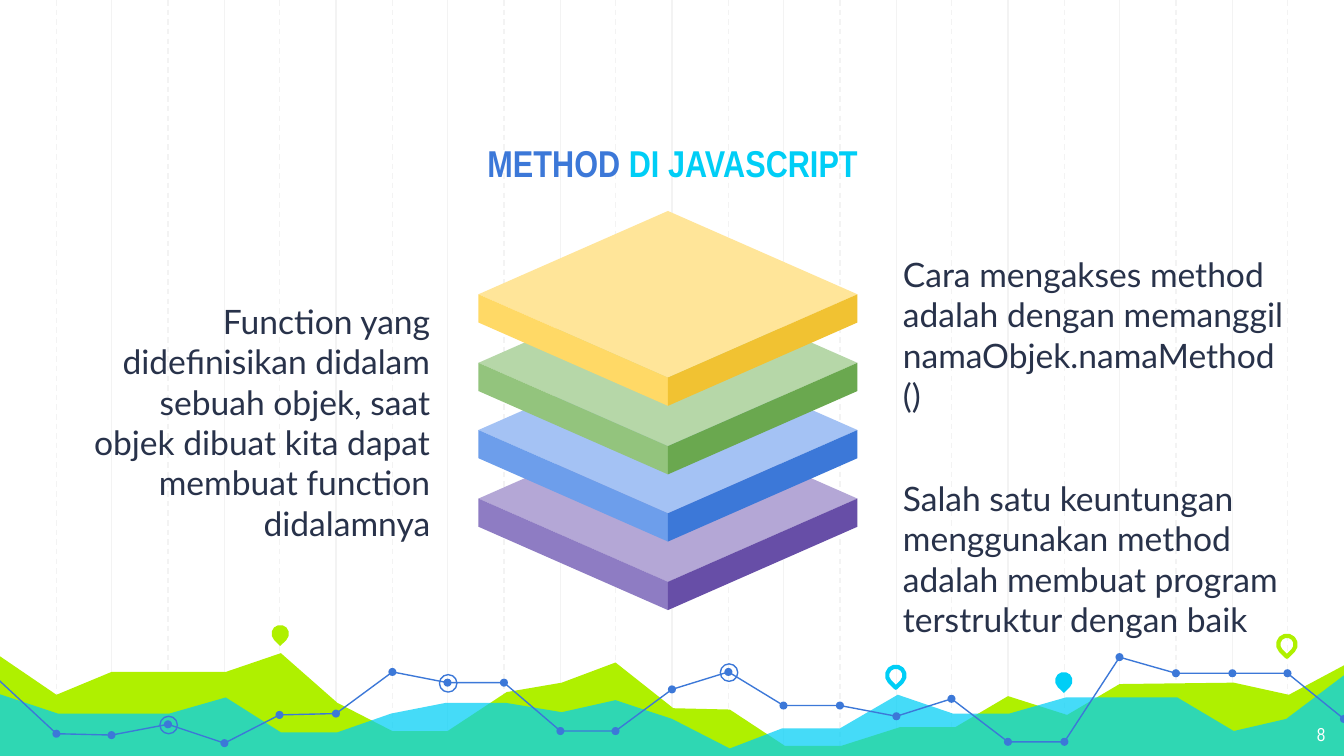
from lxml import etree
from pptx import Presentation
from pptx import util as u
from pptx.dml.color import RGBColor
from pptx.enum import dml, shapes, text
from pptx.oxml.ns import qn

PX = 9144  # EMU per px, 100 px to the inch
WIDTH = 1000

WHITE = RGBColor(0xFF, 0xFF, 0xFF)
GRID = RGBColor(0xF3, 0xF3, 0xF3)
INK = RGBColor(0x28, 0x32, 0x4A)
BLUE = RGBColor(0x3C, 0x78, 0xD8)
CYAN = RGBColor(0x00, 0xCE, 0xF6)
LIME = RGBColor(0xAF, 0xF0, 0x00)

# Top, left and right faces of each slab, from the lowest up
SLABS = [
    (RGBColor(0xB4, 0xA7, 0xD6), RGBColor(0x8E, 0x7C, 0xC3), RGBColor(0x67, 0x4E, 0xA7)),
    (RGBColor(0xA4, 0xC2, 0xF4), RGBColor(0x6D, 0x9E, 0xEB), BLUE),
    (RGBColor(0xB6, 0xD7, 0xA8), RGBColor(0x93, 0xC4, 0x7D), RGBColor(0x6A, 0xA8, 0x4F)),
    (RGBColor(0xFF, 0xE5, 0x99), RGBColor(0xFF, 0xD9, 0x66), RGBColor(0xF1, 0xC2, 0x32)),
]

LIME_HILLS = [(-2, 487), (42, 517), (83, 500), (168, 500), (209, 486), (251, 523),
              (292, 544), (333, 544), (377, 515), (418, 508), (458, 493), (501, 527),
              (543, 528), (584, 555), (626, 555), (670, 541), (711, 541), (750, 518),
              (794, 532), (833, 509), (918, 508), (959, 517), (1002, 494),
              (1001, 564), (-3, 564)]
CYAN_HILLS = [(-2, 516), (43, 531), (126, 531), (168, 519), (209, 545), (251, 545),
              (291, 531), (332, 523), (376, 523), (418, 530), (458, 521), (500, 535),
              (543, 557), (582, 542), (625, 542), (668, 517), (709, 531), (751, 531),
              (793, 519), (876, 519), (918, 544), (957, 535), (1002, 501),
              (1002, 565), (-3, 565)]
TREND_HEIGHTS = [546, 547, 539, 553, 532, 531, 500, 508, 508, 544, 544, 513,
                 500, 525, 525, 533, 520, 552, 552, 489, 501, 501, 501, 535]


def write(frame, paragraphs, font="Lato", size=18, bold=False,
          align=text.PP_ALIGN.LEFT, anchor=text.MSO_ANCHOR.TOP, before=()):
    """Fill a frame; each paragraph is a list of (words, colour) runs."""
    frame.word_wrap = True
    frame.auto_size = text.MSO_AUTO_SIZE.NONE
    frame.vertical_anchor = anchor
    frame.margin_left = frame.margin_right = 10 * PX
    frame.margin_top = frame.margin_bottom = 10 * PX
    for i, runs in enumerate(paragraphs):
        paragraph = frame.paragraphs[0] if i == 0 else frame.add_paragraph()
        paragraph.alignment = align
        paragraph.space_before = u.Pt(before[i] if before else 0)
        for words, color in runs:
            run = paragraph.add_run()
            run.text = words
            run.font.name, run.font.size, run.font.bold = font, u.Pt(size), bold
            run.font.color.rgb = color


class Canvas:
    def __init__(self, slide):
        self.slide = slide
        self.shapes = slide.shapes

    def paint(self, shape, fill=None, line=None, weight=0.75, opacity=None):
        shape.shadow.inherit = False
        if fill is None:
            shape.fill.background()
        else:
            shape.fill.solid()
            shape.fill.fore_color.rgb = fill
            if opacity:
                color = shape.element.spPr.find(f".//{qn('a:srgbClr')}")
                etree.SubElement(color, qn("a:alpha"), val=str(opacity * 1000))
        if line is None:
            shape.line.fill.background()
        else:
            shape.line.color.rgb = line
            shape.line.width = u.Pt(weight)
        return shape

    def gridline(self, x, dashed):
        line = self.shapes.add_connector(
            shapes.MSO_CONNECTOR.STRAIGHT, x * PX, 0, x * PX, 565 * PX)
        line.line.color.rgb = GRID
        line.line.width = u.Pt(0.75)
        if dashed:
            line.line.dash_style = dml.MSO_LINE.DASH
        etree.SubElement(line.element.spPr, qn("a:effectLst"))

    def outline(self, points, closed=True, **look):
        builder = self.shapes.build_freeform(*points[0], scale=PX)
        builder.add_line_segments(points[1:], close=closed)
        return self.paint(builder.convert_to_shape(), **look)

    def preset(self, kind, x, y, size, **look):
        return self.paint(self.shapes.add_shape(
            kind, x * PX, y * PX, size * PX, size * PX), **look)

    def pin(self, x, y, **look):
        self.preset(shapes.MSO_SHAPE.TEAR, x, y, 13, **look).rotation = 135

    def textbox(self, x, y, w, h, paragraphs, **style):
        box = self.shapes.add_textbox(x * PX, y * PX, w * PX, h * PX)
        write(box.text_frame, paragraphs, **style)

    def title(self, x, y, w, h, runs, **style):
        title = self.shapes.title
        title.left, title.top, title.width, title.height = (n * PX for n in (x, y, w, h))
        write(title.text_frame, [runs], **style)
        title.element.getparent().append(title.element)  # in front of the grid


def draw_backdrop(canvas):
    columns = [round(k * WIDTH / 24) for k in range(1, 25)]

    # Grid: solid and dashed lines take turns
    for k, x in enumerate(columns[:-1]):
        canvas.gridline(x, dashed=k % 2 == 0)

    # Hills and map pins
    canvas.outline(LIME_HILLS, fill=LIME)
    canvas.outline(CYAN_HILLS, fill=CYAN, opacity=73)
    canvas.pin(202, 465, fill=LIME)
    canvas.pin(660, 496, line=CYAN, weight=2.25)
    canvas.pin(785, 500, fill=CYAN)
    canvas.pin(951, 473, line=LIME, weight=2.25)

    # Trend line with its dots and three rings
    trend = list(zip(columns, TREND_HEIGHTS))
    for stretch in ([(-1, 506)] + trend[:11], trend[10:20], trend[19:]):
        canvas.outline(stretch, closed=False, line=BLUE)
    for x, y in trend:
        canvas.preset(shapes.MSO_SHAPE.OVAL, x - 3, y - 3, 6, fill=BLUE)
    for x, y in (trend[2], trend[7], trend[12]):
        canvas.preset(shapes.MSO_SHAPE.OVAL, x - 6, y - 6, 13, line=BLUE)


def draw_stack(canvas):
    left, middle, right = 356, 497, 638
    rise, thickness = 62, 21
    for i, (top_face, left_face, right_face) in enumerate(SLABS):
        top = round(309 - i * 50.67)
        side, front = top + rise, top + 2 * rise
        canvas.outline([(middle, top), (right, side), (middle, front), (left, side)],
                       fill=top_face)
        for edge, face in ((left, left_face), (right, right_face)):
            canvas.outline([(edge, side), (middle, front), (middle, front + thickness),
                            (edge, side + thickness)], fill=face)


def main():
    deck = Presentation()
    deck.slide_width = WIDTH * PX
    deck.slide_height = deck.slide_width * 9 // 16
    canvas = Canvas(deck.slides.add_slide(deck.slide_layouts[5]))

    draw_backdrop(canvas)

    # Title
    canvas.title(118, 70, 765, 78, [("METHOD", BLUE), (" DI JAVASCRIPT", CYAN)],
                 font="Arial Narrow", size=20, bold=True,
                 align=text.PP_ALIGN.CENTER, anchor=text.MSO_ANCHOR.BOTTOM)

    # Definition on the left, access and benefit on the right
    definition = ("Function yang didefinisikan didalam sebuah objek, saat objek "
                  "dibuat kita dapat membuat function didalamnya")
    access = "Cara mengakses method adalah dengan memanggil namaObjek.namaMethod()"
    benefit = ("Salah satu keuntungan menggunakan method adalah membuat program "
               "terstruktur dengan baik")
    canvas.textbox(48, 179, 282, 270, [[(definition, INK)]], before=[6],
                   align=text.PP_ALIGN.RIGHT, anchor=text.MSO_ANCHOR.MIDDLE)
    canvas.textbox(662, 179, 303, 270, [[(access, INK)], [(benefit, INK)]],
                   before=[6, 33.6])

    # Page number
    canvas.textbox(936, 528, 60, 35, [[("8", WHITE)]], font="Arial Narrow", size=10,
                   align=text.PP_ALIGN.RIGHT)

    draw_stack(canvas)
    deck.save("out.pptx")


if __name__ == "__main__":
    main()
